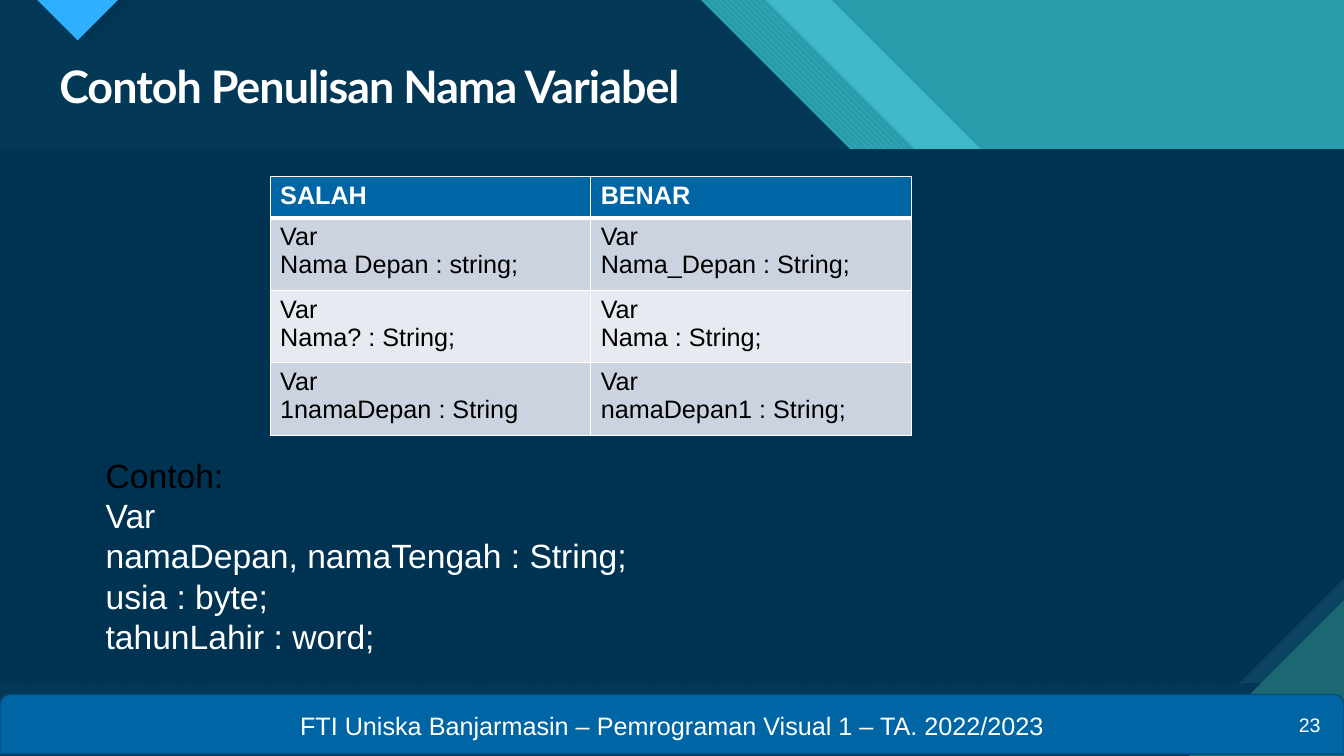
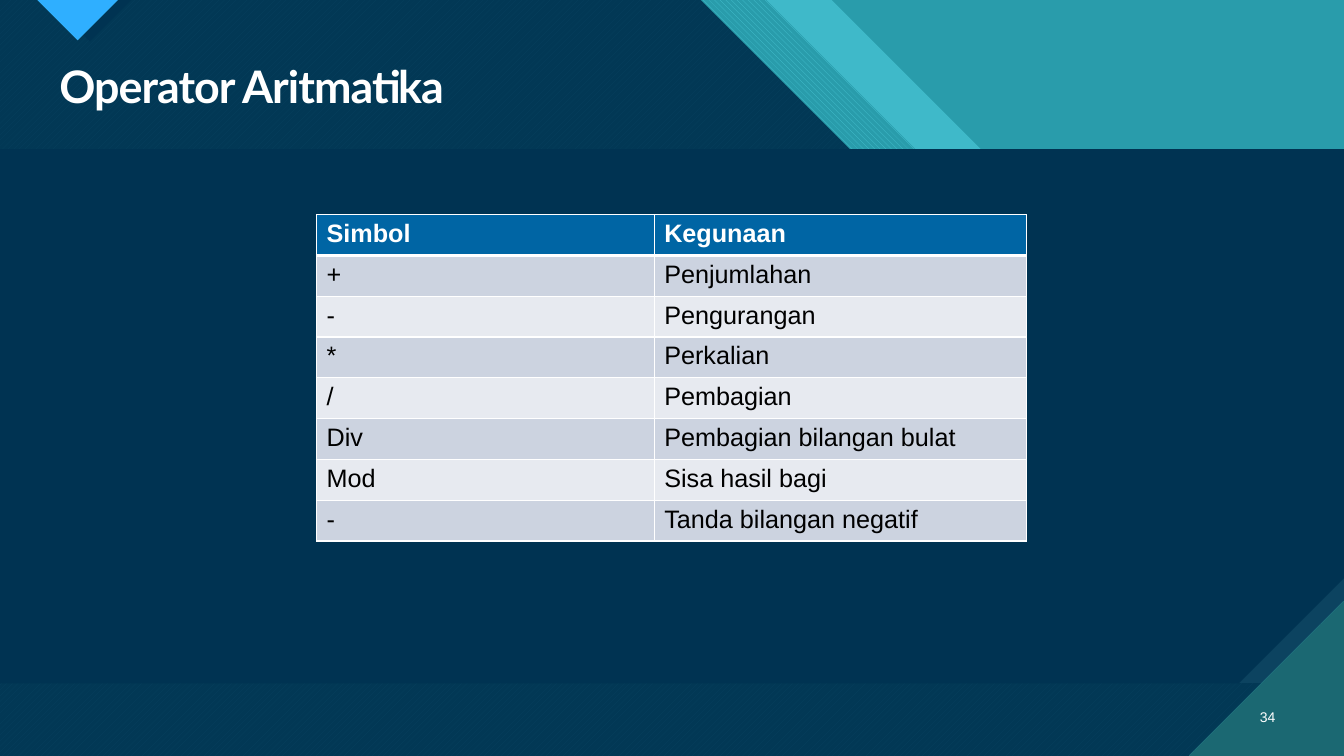
from dataclasses import dataclass

from lxml.etree import SubElement
from pptx import Presentation
from pptx.dml.color import RGBColor
from pptx.enum.dml import MSO_PATTERN
from pptx.enum.shapes import MSO_SHAPE
from pptx.enum.text import MSO_ANCHOR, PP_ALIGN
from pptx.oxml.ns import qn
from pptx.util import Inches, Pt

W, H = 13.333, 7.5
PANEL_TOP, PANEL_H = 1.48, 5.3


@dataclass(frozen=True)
class Theme:
    navy: str = "003352"
    dusk: str = "0C4360"
    teal: str = "299CAB"
    band: str = "3FB9C9"
    aqua: str = "47C3D3"
    pine: str = "1B6872"
    sky: str = "2FAFFF"
    blue: str = "0065A4"
    blue_edge: str = "004B79"
    stripes: tuple = ("CCD3E0", "E7EAF0")
    white: str = "FFFFFF"
    black: str = "000000"
    body: str = "Arial"
    heading: str = "Lato"
    title_size: int = 32
    code_size: int = 24
    text_size: int = 18


T = Theme()

VARIABLES = {
    "title": "Contoh Penulisan Nama Variabel",
    "number": "23",
    "footer": "FTI Uniska Banjarmasin – Pemrograman Visual 1 – TA. 2022/2023",
    "table": {
        "at": (2.68, 1.75),
        "cols": (3.18, 3.18),
        "row_heights": (0.41, 0.72),
        "align": PP_ALIGN.JUSTIFY,
        "rows": [
            ("SALAH", "BENAR"),
            ("Var\nNama Depan : string;", "Var\nNama_Depan : String;"),
            ("Var\nNama? : String;", "Var\nNama : String;"),
            ("Var\n1namaDepan : String", "Var\nnamaDepan1 : String;"),
        ],
    },
    "example": ["Contoh:", "Var", "namaDepan, namaTengah : String;",
                "usia : byte;", "tahunLahir : word;"],
}

OPERATORS = {
    "title": "Operator Aritmatika",
    "number": "34",
    "table": {
        "at": (3.14, 2.13),
        "cols": (3.35, 3.69),
        "row_heights": (0.405, 0.405),
        "align": PP_ALIGN.LEFT,
        "rows": [
            ("Simbol", "Kegunaan"),
            ("+", "Penjumlahan"),
            ("-", "Pengurangan"),
            ("*", "Perkalian"),
            ("/", "Pembagian"),
            ("Div", "Pembagian bilangan bulat"),
            ("Mod", "Sisa hasil bagi"),
            ("-", "Tanda bilangan negatif"),
        ],
    },
}


def rgb(value):
    return RGBColor.from_string(value)


def paint(sp, color, back=None, pattern=None):
    sp.shadow.inherit = False
    sp.line.fill.background()
    if pattern is None:
        sp.fill.solid()
        sp.fill.fore_color.rgb = rgb(color)
    else:
        sp.fill.patterned()
        sp.fill.pattern = pattern
        sp.fill.fore_color.rgb = rgb(color)
        sp.fill.back_color.rgb = rgb(back)
    return sp


def style(p, size, color=T.white, font=T.body, bold=False, align=None):
    p.alignment = align
    p.font.size = Pt(size)
    p.font.name = font
    p.font.bold = bold
    p.font.color.rgb = rgb(color)


def polygon(slide, points):
    start, *rest = [(Inches(x), Inches(y)) for x, y in points]
    builder = slide.shapes.build_freeform(*start)
    builder.add_line_segments(rest, close=True)
    return builder.convert_to_shape()


def slope(slide, edge):
    """Area left of a 45 degree line that leaves the top of the slide at edge."""
    return polygon(slide, [(0, 0), (edge, 0), (W, W - edge), (W, H), (0, H)])


def notch(slide, left, width):
    return polygon(slide, [(left, 0), (left + width / 2, width / 2), (left + width, 0)])


def panel(slide, snip):
    sp = slide.shapes.add_shape(MSO_SHAPE.SNIP_1_RECTANGLE, 0, Inches(PANEL_TOP),
                                Inches(W), Inches(PANEL_H))
    sp.adjustments[0] = snip
    sp.element.spPr.find(qn("a:xfrm")).set("flipV", "1")
    return sp


def decorate(layout, slide):
    """Draw the shared backdrop on a slide, then hand it over to the layout."""
    layout.background.fill.solid()
    layout.background.fill.fore_color.rgb = rgb(T.teal)
    for ph in list(layout.placeholders):
        ph.element.getparent().remove(ph.element)

    paint(slope(slide, 8.25), T.band)
    paint(slope(slide, 7.6), T.aqua, T.teal, MSO_PATTERN.WIDE_DOWNWARD_DIAGONAL)
    paint(slope(slide, 6.95), T.aqua, T.pine, MSO_PATTERN.WIDE_UPWARD_DIAGONAL)
    veil = paint(slope(slide, 6.95), T.navy)
    color = veil.element.spPr.find(qn("a:solidFill"))[0]
    SubElement(color, qn("a:alpha")).set("val", "90000")
    paint(notch(slide, 0.48, 0.82), T.navy)
    paint(notch(slide, 0.37, 0.8), T.sky, T.pine, MSO_PATTERN.DARK_HORIZONTAL)
    paint(panel(slide, 0), T.dusk, T.pine, MSO_PATTERN.DARK_VERTICAL)
    paint(panel(slide, 0.197), T.navy)
    corner = polygon(slide, [(W - 1.54, H), (W, H), (W, H - 1.54)])
    paint(corner, T.pine, T.aqua, MSO_PATTERN.DARK_HORIZONTAL)

    for sp in list(slide.shapes):
        layout.shapes.element.append(sp.element)


def add_text(slide, box, lines, **look):
    sp = slide.shapes.add_textbox(*map(Inches, box))
    tf = sp.text_frame
    tf.word_wrap = True
    tf.text = "\n".join(lines)
    for p in tf.paragraphs:
        style(p, **look)
    return sp


def add_title(slide, text):
    sp = add_text(slide, (0.49, 0.59, 12.26, 0.59), [text],
                  size=T.title_size, font=T.heading, bold=True)
    sp.text_frame.paragraphs[0].line_spacing = 0.9
    for props in sp.element.iter(qn("a:defRPr")):
        props.set("spc", "-70")


def add_number(slide, text, left, top, size):
    sp = add_text(slide, (left, top, 0.44, 0.4), [text], size=size, align=PP_ALIGN.RIGHT)
    sp.text_frame.vertical_anchor = MSO_ANCHOR.MIDDLE


def add_footer(slide, text):
    sp = slide.shapes.add_shape(MSO_SHAPE.ROUND_2_SAME_RECTANGLE, 0, Inches(6.89),
                                Inches(W), Inches(0.59))
    paint(sp, T.blue)
    sp.line.color.rgb = rgb(T.blue_edge)
    sp.line.width = Pt(1)
    tf = sp.text_frame
    tf.text = text
    tf.vertical_anchor = MSO_ANCHOR.MIDDLE
    style(tf.paragraphs[0], T.text_size, align=PP_ALIGN.CENTER)


def add_borders(cell, bottom):
    props = cell._tc.get_or_add_tcPr()
    for side, width in (("L", 1), ("R", 1), ("T", 1), ("B", bottom)):
        ln = SubElement(props, qn(f"a:ln{side}"), w=str(Pt(width)))
        fill = SubElement(ln, qn("a:solidFill"))
        SubElement(fill, qn("a:srgbClr"), val=T.white)


def add_grid(slide, at, cols, row_heights, align, rows):
    head, body = row_heights
    heights = [head] + [body] * (len(rows) - 1)
    size = (sum(cols), sum(heights))
    table = slide.shapes.add_table(len(rows), len(cols), *map(Inches, at + size)).table
    for col, width in zip(table.columns, cols):
        col.width = Inches(width)
    for i, (row, height, texts) in enumerate(zip(table.rows, heights, rows)):
        row.height = Inches(height)
        is_head = i == 0
        for cell, text in zip(row.cells, texts):
            add_borders(cell, 3 if is_head else 1)
            cell.fill.solid()
            cell.fill.fore_color.rgb = rgb(T.blue if is_head else T.stripes[(i - 1) % 2])
            cell.text = text
            for p in cell.text_frame.paragraphs:
                style(p, T.text_size, T.white if is_head else T.black,
                      bold=is_head, align=align)


def build_variables(slide, data):
    add_title(slide, data["title"])
    add_grid(slide, **data["table"])
    example = add_text(slide, (0.95, 4.46, 5.67, 2.12), data["example"], size=T.code_size)
    example.text_frame.paragraphs[0].font.color.rgb = rgb(T.black)
    add_footer(slide, data["footer"])
    add_number(slide, data["number"], 12.76, 6.99, 14)


def build_operators(slide, data):
    add_title(slide, data["title"])
    add_number(slide, data["number"], 12.31, 6.91, 10)
    add_grid(slide, **data["table"])


def main():
    prs = Presentation()
    prs.slide_width, prs.slide_height = Inches(W), Inches(H)
    layout = prs.slide_layouts[6]
    first, second = [prs.slides.add_slide(layout) for _ in range(2)]
    for slide in (first, second):
        for ph in list(slide.placeholders):
            ph.element.getparent().remove(ph.element)
    decorate(layout, first)
    build_variables(first, VARIABLES)
    build_operators(second, OPERATORS)
    prs.save("out.pptx")


if __name__ == "__main__":
    main()
